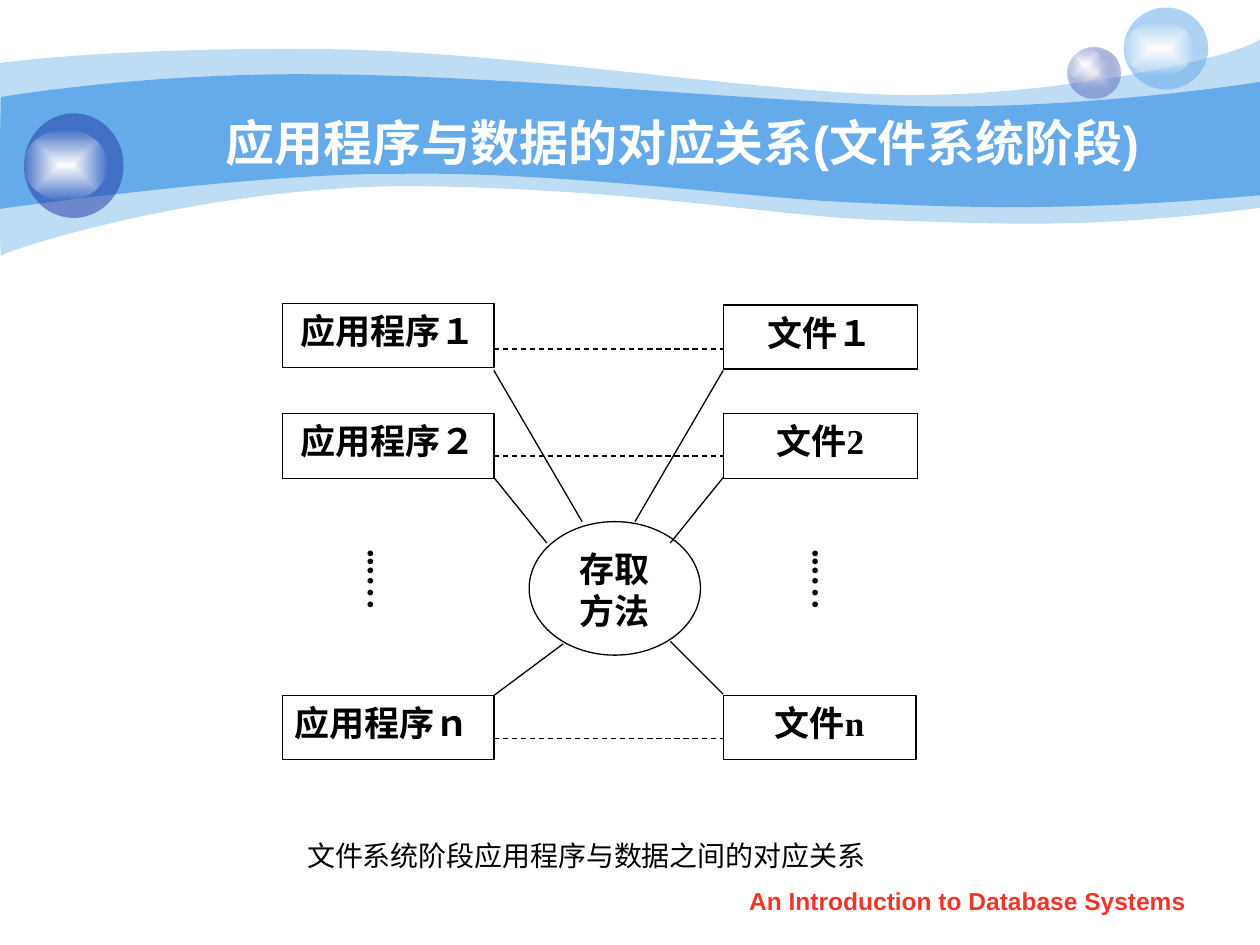
from dataclasses import dataclass
from typing import NamedTuple

from lxml.etree import SubElement
from pptx import Presentation
from pptx.dml.color import RGBColor
from pptx.enum.dml import MSO_LINE
from pptx.enum.shapes import MSO_CONNECTOR, MSO_SHAPE
from pptx.enum.text import MSO_ANCHOR, PP_ALIGN
from pptx.oxml.ns import qn
from pptx.util import Inches, Pt


@dataclass(frozen=True)
class Theme:
    sky: str = "65AAE9"
    navy: str = "233DA9"
    pale: str = "E1E2ED"
    white: str = "FFFFFF"
    black: str = "000000"
    red: str = "F03628"
    sans: str = "Arial"
    serif: str = "Times New Roman"
    title_size: int = 28
    label_size: int = 20
    caption_size: int = 16
    footer_size: int = 14
    line_width: float = 0.75


class Box(NamedTuple):
    left: float
    top: float
    width: float
    height: float

    def inside(self, left, top, width, height):
        return Box(self.left + left, self.top + top, width, height)

    def lengths(self):
        return [Inches(value) for value in self]


THEME = Theme()

# Each wave is a start point followed by cubic curves (three points) and lines (one point).
OUTER_WAVE = [
    (0, 0.5),
    [(0.24, 0.47), (1.07, 0.38), (2.47, 0.39)],
    [(3.86, 0.39), (5.75, 0.7), (6.99, 0.75)],
    [(8.22, 0.8), (9.8, 0.47), (10, 0.31)],
    [(10, 1.65)],
    [(8.58, 1.83), (7.87, 1.77), (7.05, 1.75)],
    [(6.22, 1.73), (5.15, 1.51), (3.43, 1.48)],
    [(1.72, 1.44), (0.04, 1.99), (0.01, 2.03)],
    [(-0.01, 2.08), (0, 0.75), (0, 0.5)],
]
INNER_WAVE = [
    (0.01, 0.77),
    [(0.02, 0.77), (1.1, 0.58), (2.48, 0.59)],
    [(3.86, 0.59), (5.95, 0.8), (7.18, 0.84)],
    [(8.41, 0.88), (9.76, 0.69), (10, 0.65)],
    [(10, 1.55)],
    [(8.53, 1.68), (7.65, 1.65), (6.82, 1.61)],
    [(5.99, 1.58), (4.47, 1.36), (3.17, 1.38)],
    [(2.03, 1.37), (-0.02, 1.66), (-0.01, 1.66)],
    [(0, 1.66), (0, 0.77), (0.01, 0.77)],
]


def set_fill(shape, color, opacity=100):
    shape.shadow.inherit = False
    shape.fill.solid()
    shape.fill.fore_color.rgb = RGBColor.from_string(color)
    if opacity < 100:
        color_element = next(shape.element.spPr.iter(qn("a:srgbClr")))
        SubElement(color_element, qn("a:alpha"), val=str(opacity * 1000))


def set_radial_fill(shape, center_color, edge_color, edge_opacity):
    shape.shadow.inherit = False
    shape.fill.gradient()
    gradient = shape.element.spPr.find(qn("a:gradFill"))
    for child in list(gradient):
        gradient.remove(child)
    stops = SubElement(gradient, qn("a:gsLst"))
    for position, color, opacity in [(0, center_color, 100), (100, edge_color, edge_opacity)]:
        stop = SubElement(stops, qn("a:gs"), pos=str(position * 1000))
        color_element = SubElement(stop, qn("a:srgbClr"), val=color)
        SubElement(color_element, qn("a:alpha"), val=str(opacity * 1000))
    radial = SubElement(gradient, qn("a:path"), path="shape")
    SubElement(radial, qn("a:fillToRect"), dict.fromkeys("ltrb", "50000"))


def set_line(shape, dash=MSO_LINE.SOLID):
    shape.line.color.rgb = RGBColor.from_string(THEME.black)
    for name, value in {"width": Pt(THEME.line_width), "dash_style": dash}.items():
        setattr(shape.line, name, value)


def set_text(shape, text, size, color=THEME.black, font=THEME.serif, bold=True,
             align=PP_ALIGN.CENTER, anchor=MSO_ANCHOR.TOP, wrap=True):
    frame = shape.text_frame
    frame.text = text
    for name, value in {"word_wrap": wrap, "vertical_anchor": anchor}.items():
        setattr(frame, name, value)
    paragraph = frame.paragraphs[0]
    paragraph.alignment = align
    run_font = paragraph.runs[0].font
    for name, value in {"name": font, "size": Pt(size), "bold": bold}.items():
        setattr(run_font, name, value)
    run_font.color.rgb = RGBColor.from_string(color)


def add_text(slide, box, text, size, **options):
    shape = slide.shapes.add_textbox(*box.lengths())
    set_text(shape, text, size, **options)
    return shape


def add_node(slide, box, kind, text, **options):
    shape = slide.shapes.add_shape(kind, *box.lengths())
    set_fill(shape, THEME.white)
    set_line(shape)
    set_text(shape, text, THEME.label_size, **options)


def add_link(slide, box, start, end, dash=MSO_LINE.SOLID):
    points = [Inches(origin + value) for point in (start, end)
              for origin, value in zip((box.left, box.top), point)]
    link = slide.shapes.add_connector(MSO_CONNECTOR.STRAIGHT, *points)
    set_line(link, dash)
    SubElement(link.element.spPr, qn("a:effectLst"))


def add_wave(slide, box, wave, opacity):
    """Build the outline from all points, then turn each three-point segment into a curve."""
    start, *segments = wave
    points = [start] + [point for segment in segments for point in segment]
    points = [(Inches(box.left + x), Inches(box.top + y)) for x, y in points]
    builder = slide.shapes.build_freeform(*points[0])
    builder.add_line_segments(points[1:], close=True)
    shape = builder.convert_to_shape()
    lines = iter(list(shape.element.spPr.iter(qn("a:lnTo"))))
    for segment in segments:
        curve, *others = [next(lines) for _ in segment]
        if others:
            curve.tag = qn("a:cubicBezTo")
        for line in others:
            curve.append(line[0])
            line.getparent().remove(line)
    set_fill(shape, THEME.sky, opacity)
    shape.line.fill.background()


def add_sphere(slide, box, highlight, color, opacity, center_color=None):
    body, shine = [slide.shapes.add_shape(MSO_SHAPE.OVAL, *part.lengths())
                   for part in (box, box.inside(*highlight))]
    if center_color:
        set_radial_fill(body, center_color, color, opacity)
    else:
        set_fill(body, color, opacity)
    set_radial_fill(shine, THEME.white, THEME.white, 0)
    for shape in (body, shine):
        shape.line.fill.background()


def draw_banner(slide, box):
    add_wave(slide, box, OUTER_WAVE, 41)
    add_wave(slide, box, INNER_WAVE, 100)
    add_sphere(slide, box.inside(8.47, 0.38, 0.42, 0.4), (0, 0, 0.28, 0.27),
               THEME.navy, 31, THEME.pale)
    add_sphere(slide, box.inside(8.92, 0.06, 0.67, 0.65), (0, 0.11, 0.56, 0.43), THEME.sky, 53)
    add_sphere(slide, box.inside(0.19, 0.9, 0.79, 0.83), (0, 0.13, 0.66, 0.56), THEME.navy, 53)


def draw_title(slide, box, text):
    title = slide.shapes.title
    for name, value in zip(("left", "top", "width", "height"), box.lengths()):
        setattr(title, name, value)
    set_text(title, text, THEME.title_size, THEME.white, THEME.sans, anchor=MSO_ANCHOR.MIDDLE)
    slide.shapes.element.append(title.element)  # in front of the banner


def draw_diagram(slide, box):
    program_width, file_left = 1.68, 3.5
    # Program top, file top, height, file width, link height, names, program alignment
    rows = [(0, 0.01, 0.51, 1.54, 0.36, "应用程序１", "文件１", PP_ALIGN.CENTER),
            (0.87, 0.87, 0.52, 1.54, 1.21, "应用程序２", "文件2", PP_ALIGN.CENTER),
            (3.11, 3.11, 0.51, 1.53, 3.45, "应用程序ｎ", "文件n", PP_ALIGN.JUSTIFY)]
    for program_top, file_top, height, file_width, link_top, program, file, align in rows:
        add_node(slide, box.inside(0, program_top, program_width, height),
                 MSO_SHAPE.RECTANGLE, program, align=align)
        add_node(slide, box.inside(file_left, file_top, file_width, height),
                 MSO_SHAPE.RECTANGLE, file)
        add_link(slide, box, (program_width, link_top), (file_left, link_top), MSO_LINE.DASH)

    add_node(slide, box.inside(1.96, 1.73, 1.36, 1.06), MSO_SHAPE.OVAL, "存取方法")
    spokes = [((0.53, 2.38, 1.73), (0.53, 2.8, 1.73)),
              ((1.38, 2.1, 1.9), (1.38, 3.08, 1.9)),
              ((3.11, 2.23, 2.7), (3.1, 3.08, 2.68))]
    for pair in spokes:
        for side, (corner, *end) in zip((program_width, file_left), pair):
            add_link(slide, box, (side, corner), end)

    for left, height in ((0.48, 0.91), (4.01, 0.99)):
        dots = add_text(slide, box.inside(left, 1.85, 0.53, height), "...…",
                        THEME.label_size, align=PP_ALIGN.LEFT)
        dots.text_frame._txBody.bodyPr.set("vert", "eaVert")


def main():
    presentation = Presentation()
    presentation.slide_width, presentation.slide_height = Inches(10), Inches(7.5)
    slide = presentation.slides.add_slide(presentation.slide_layouts[5])
    draw_banner(slide, Box(0, 0, 10, 2.08))
    add_text(slide, Box(5.71, 6.98, 3.94, 0.35), "An Introduction to Database Systems",
             THEME.footer_size, color=THEME.red, font=THEME.sans)
    draw_title(slide, Box(1.08, 0.5, 8.67, 1.25), "应用程序与数据的对应关系(文件系统阶段)")
    draw_diagram(slide, Box(2.24, 2.41, 5.04, 3.62))
    add_text(slide, Box(2.3, 6.61, 4.71, 0.4), "文件系统阶段应用程序与数据之间的对应关系",
             THEME.caption_size, bold=False, wrap=False)
    presentation.save("out.pptx")


if __name__ == "__main__":
    main()
